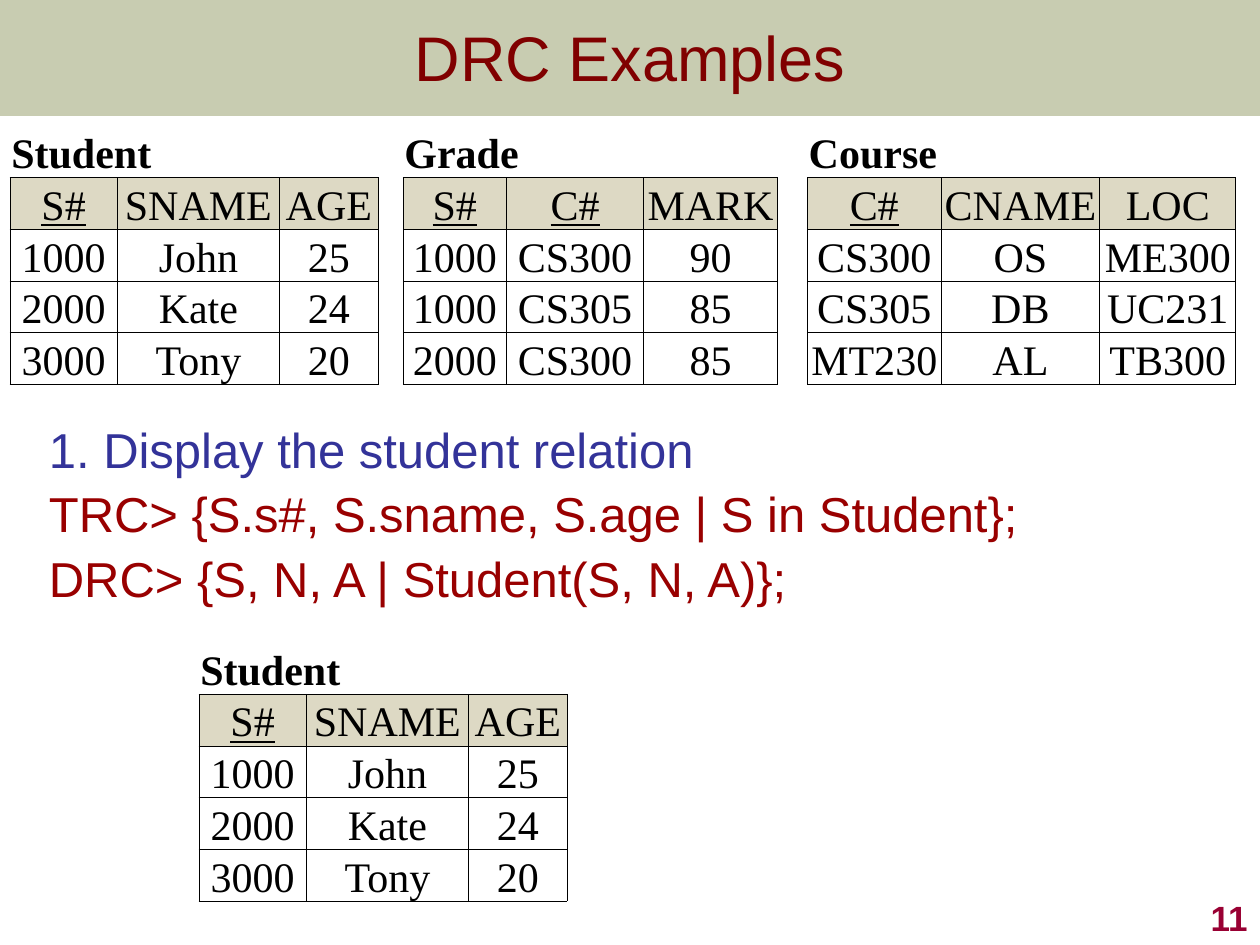
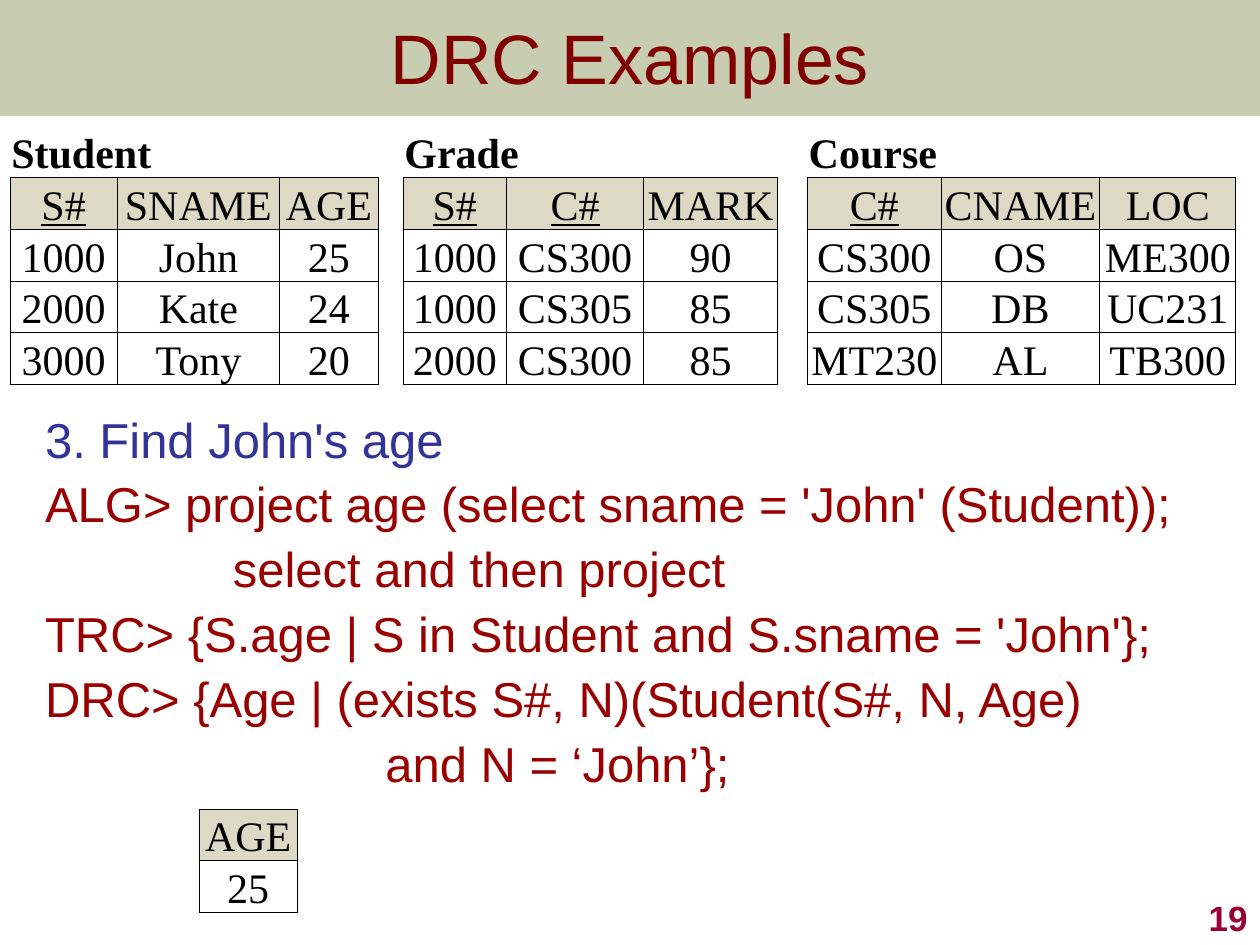
import dataclasses

import lxml.etree
import pptx
import pptx.dml.color
import pptx.enum.shapes
import pptx.enum.text
import pptx.oxml.ns
import pptx.util

Inches = pptx.util.Inches
Pt = pptx.util.Pt
ALIGN = pptx.enum.text.PP_ALIGN
ANCHOR = pptx.enum.text.MSO_ANCHOR
qn = pptx.oxml.ns.qn


@dataclasses.dataclass(frozen=True)
class Theme:
    sans: str = "Arial"
    serif: str = "Times New Roman"
    band: str = "677228"
    band_opacity: int = 36
    title: str = "800000"
    question: str = "333399"
    query: str = "990000"
    number: str = "990033"
    ink: str = "000000"
    paper: str = "FFFFFF"
    header: str = "DDD9C4"
    body_size: int = 28
    cell_size: int = 24
    number_size: int = 20
    border: float = 0.5
    row_height: float = 0.38


THEME = Theme()


@dataclasses.dataclass(frozen=True)
class Relation:
    name: str
    widths: tuple
    columns: tuple
    rows: tuple
    keys: tuple = ()


STUDENT = Relation(
    "Student", (0.85, 1.29, 0.78), ("S#", "SNAME", "AGE"),
    (("1000", "John", "25"), ("2000", "Kate", "24"), ("3000", "Tony", "20")),
    keys=("S#",))
GRADE = Relation(
    "Grade", (0.82, 1.09, 1.06), ("S#", "C#", "MARK"),
    (("1000", "CS300", "90"), ("1000", "CS305", "85"), ("2000", "CS300", "85")),
    keys=("S#", "C#"))
COURSE = Relation(
    "Course", (1.06, 1.26, 1.08), ("C#", "CNAME", "LOC"),
    (("CS300", "OS", "ME300"), ("CS305", "DB", "UC231"), ("MT230", "AL", "TB300")),
    keys=("C#",))
JOHNS_AGE = Relation("", (0.78,), ("AGE",), (("25",),))


def rgb(color):
    return pptx.dml.color.RGBColor.from_string(color)


def add_run(p, text, font, size, color, bold=False, underline=False):
    r = p.add_run()
    r.text = text
    r.font.name, r.font.size = font, Pt(size)
    r.font.color.rgb = rgb(color)
    r.font.bold, r.font.underline = bold, underline


def add_box(s, left, top, width, height, anchor):
    tf = s.shapes.add_textbox(*map(Inches, (left, top, width, height))).text_frame
    tf.word_wrap = True
    tf.vertical_anchor = anchor
    return tf


# Slide frame: band, title and number
def add_band(s):
    sp = s.shapes.add_shape(pptx.enum.shapes.MSO_SHAPE.RECTANGLE,
                            0, 0, Inches(10), Inches(0.92))
    sp.shadow.inherit = False
    sp.line.fill.background()
    sp.fill.solid()
    sp.fill.fore_color.rgb = rgb(THEME.band)
    color = next(sp.element.spPr.iter(qn("a:srgbClr")))
    lxml.etree.SubElement(color, qn("a:alpha"), val=str(THEME.band_opacity * 1000))


def add_title(s, text, size):
    p = add_box(s, 0, 0, 10, 0.89, ANCHOR.MIDDLE).paragraphs[0]
    p.alignment = ALIGN.CENTER
    add_run(p, text, THEME.sans, size, THEME.title)


def add_number(s, number):
    p = add_box(s, 7.92, 7, 2.08, 0.5, ANCHOR.BOTTOM).paragraphs[0]
    p.alignment = ALIGN.RIGHT
    add_run(p, str(number), THEME.sans, THEME.number_size, THEME.number, bold=True)


# Question with its queries; each query is (text, left indent)
def add_queries(s, left, top, width, height, question, queries):
    tf = add_box(s, left, top, width, height, ANCHOR.TOP)
    tf.margin_right = 0
    lines = [(question, 0, THEME.question)]
    lines += [(text, indent, THEME.query) for text, indent in queries]
    for i, (text, indent, color) in enumerate(lines):
        p = tf.add_paragraph() if i else tf.paragraphs[0]
        p.line_spacing = 0.9
        p.space_before = Pt(6.8 if i else 0)
        pPr = p._p.get_or_add_pPr()
        hang = 0 if indent else Inches(0.38)
        pPr.set("marL", str(Inches(indent) + hang))
        pPr.set("indent", str(-hang))
        add_run(p, text, THEME.sans, THEME.body_size, color)


# Relation tables
def style_cell(cell, fill, sides):
    cell.margin_left = cell.margin_right = cell.margin_top = Inches(0.01)
    cell.margin_bottom = 0
    cell.vertical_anchor = ANCHOR.BOTTOM
    cell.fill.solid()
    cell.fill.fore_color.rgb = rgb(fill)
    tcPr = cell._tc.get_or_add_tcPr()
    for i, side in enumerate("LRTB"):
        ln = lxml.etree.Element(qn("a:ln" + side), w=str(Pt(THEME.border)))
        if side in sides:
            solid = lxml.etree.SubElement(ln, qn("a:solidFill"))
            lxml.etree.SubElement(solid, qn("a:srgbClr"), val=THEME.ink)
        else:
            lxml.etree.SubElement(ln, qn("a:noFill"))
        tcPr.insert(i, ln)


def write_cell(cell, text, align=ALIGN.CENTER, **style):
    p = cell.text_frame.paragraphs[0]
    p.alignment = align
    add_run(p, text, THEME.serif, THEME.cell_size, THEME.ink, **style)


def fill_relation(table, relation, first):
    last = first + len(relation.columns) - 1
    header = 1 if relation.name else 0
    if relation.name:
        for col in range(first, last + 1):
            style_cell(table.cell(0, col), THEME.paper, "B")
        table.cell(0, first).merge(table.cell(0, last))
        write_cell(table.cell(0, first), relation.name, ALIGN.LEFT, bold=True)
    for row, values in enumerate((relation.columns,) + relation.rows, header):
        is_header = row == header
        for col, value in enumerate(values, first):
            cell = table.cell(row, col)
            style_cell(cell, THEME.header if is_header else THEME.paper, "LRTB")
            write_cell(cell, value, underline=is_header and value in relation.keys)


def add_relations(s, left, top, relations, gaps=()):
    widths, starts = [], []
    for i, relation in enumerate(relations):
        if i:
            widths.append(gaps[i - 1])
        starts.append(len(widths))
        widths += relation.widths
    n_rows = len(relations[0].rows) + (2 if relations[0].name else 1)
    table = s.shapes.add_table(
        n_rows, len(widths), Inches(left), Inches(top),
        Inches(sum(widths)), Inches(n_rows * THEME.row_height)).table
    table.first_row = table.horz_banding = False
    for column, width in zip(table.columns, widths):
        column.width = Inches(width)
    for row in table.rows:
        row.height = Inches(THEME.row_height)
    for relation, start in zip(relations, starts):
        fill_relation(table, relation, start)
    for start in starts[1:]:
        for row in range(n_rows):
            style_cell(table.cell(row, start - 1), THEME.paper, "LR" if row else "")


def add_example(prs, number, title_size):
    s = prs.slides.add_slide(prs.slide_layouts[6])
    add_band(s)
    add_title(s, "DRC Examples", title_size)
    add_number(s, number)
    add_relations(s, 0.08, 1, (STUDENT, GRADE, COURSE), gaps=(0.2, 0.24))
    return s


def main():
    prs = pptx.Presentation()
    prs.slide_width, prs.slide_height = Inches(10), Inches(7.5)

    # Whole student relation
    s = add_example(prs, 11, 36)
    add_queries(s, 0.29, 3.33, 9.07, 2.67, "1. Display the student relation", [
        ("TRC> {S.s#, S.sname, S.age | S in Student};", 0),
        ("DRC> {S, N, A | Student(S, N, A)};", 0),
    ])
    add_relations(s, 1.58, 5.1, (STUDENT,))

    # John's age
    s = add_example(prs, 19, 40)
    add_queries(s, 0.26, 3.25, 9.45, 3.33, "3. Find John's age", [
        ("ALG> project age (select sname = 'John' (Student));", 0),
        ("select and then project", 1.49),
        ("TRC> {S.age | S in Student and S.sname = 'John'};", 0),
        ("DRC> {Age | (exists S#, N)(Student(S#, N, Age)", 0),
        ("and N = ‘John’};", 2.7),
    ])
    add_relations(s, 1.58, 6.42, (JOHNS_AGE,))

    prs.save("out.pptx")


if __name__ == "__main__":
    main()
